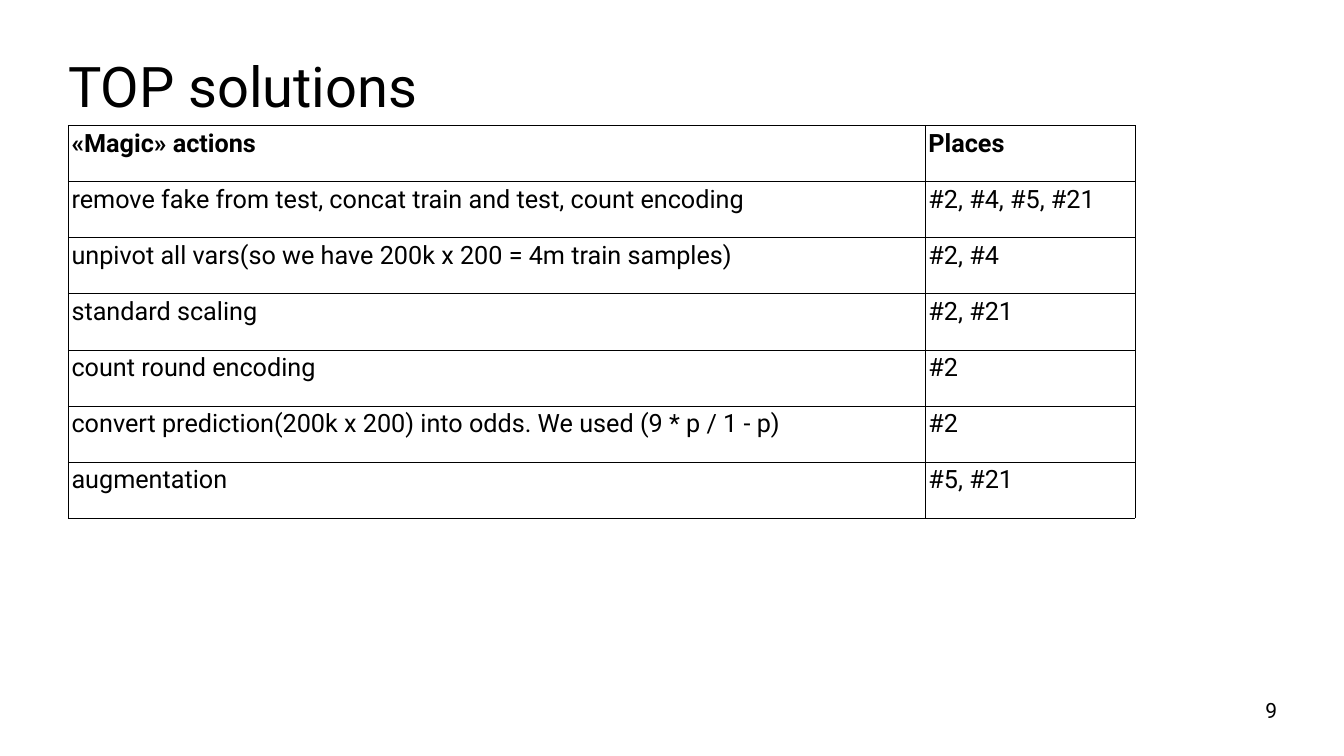
from pptx import Presentation
from pptx.dml.color import RGBColor
from pptx.enum.text import MSO_ANCHOR as Anchor, PP_ALIGN as Align
from pptx.oxml.ns import qn
from pptx.util import Pt
from lxml.etree import SubElement

COLORS = {"text": "000000", "border": "000000", "paper": "FFFFFF"}
FONT = "Roboto"
TITLE_ONLY = 5

ROWS = [
    ("«Magic» actions", "Places"),
    ("remove fake from test, concat train and test, count encoding", "#2, #4, #5, #21"),
    ("unpivot all vars(so we have 200k x 200 = 4m train samples)", "#2, #4"),
    ("standard scaling", "#2, #21"),
    ("count round encoding", "#2"),
    ("convert prediction(200k x 200) into odds. We used (9 * p / 1 - p)", "#2"),
    ("augmentation", "#5, #21"),
]
PLACES_SHARE = 0.197


def write(frame, text, size, align=Align.LEFT, bold=False):
    frame.text = text
    frame.word_wrap = True
    para = frame.paragraphs[0]
    para.alignment = align
    font = para.font
    font.name, font.size, font.bold = FONT, Pt(size), bold
    font.color.rgb = RGBColor.from_string(COLORS["text"])
    return para


def add_title(page, box, text):
    title = page.shapes.title
    title.left, title.top, title.width, title.height = map(Pt, box)
    para = write(title.text_frame, text, 80)
    para.line_spacing = Pt(100)
    title.text_frame.vertical_anchor = Anchor.MIDDLE


def add_page_number(page, box, number):
    label = page.shapes.add_textbox(*map(Pt, box))
    write(label.text_frame, str(number), 30, Align.RIGHT)
    label.text_frame.vertical_anchor = Anchor.MIDDLE


def style_cell(cell):
    """Give the cell a plain fill, tight margins and a thin line on each side."""
    cell.margin_left = cell.margin_right = cell.margin_top = cell.margin_bottom = Pt(5)
    properties = cell._tc.get_or_add_tcPr()
    for side in ("lnL", "lnR", "lnT", "lnB"):
        line = SubElement(properties, qn(f"a:{side}"), w=str(Pt(1)))
        paint = SubElement(line, qn("a:solidFill"))
        SubElement(paint, qn("a:srgbClr"), val=COLORS["border"])
    cell.fill.solid()
    cell.fill.fore_color.rgb = RGBColor.from_string(COLORS["paper"])


def add_solutions_table(page, box, rows):
    left, top, width, height = box
    table = page.shapes.add_table(len(rows), 2, *map(Pt, box)).table
    table.horz_banding = False
    places_width = width * PLACES_SHARE
    table.columns[0].width = Pt(width - places_width)
    table.columns[1].width = Pt(places_width)
    for index, texts in enumerate(rows):
        table.rows[index].height = Pt(height / len(rows))
        for cell, text in zip(table.rows[index].cells, texts):
            style_cell(cell)
            write(cell.text_frame, text, 36, bold=index == 0)


def main():
    deck = Presentation()
    deck.slide_width, deck.slide_height = Pt(1919.52), Pt(1080)
    page = deck.slides.add_slide(deck.slide_layouts[TITLE_ONLY])
    add_title(page, (90, 60.5, 1742.4, 118.8), "TOP solutions")
    add_solutions_table(page, (97.2, 179.3, 1524, 561), ROWS)
    add_page_number(page, (1741, 999.4, 90, 30.2), 9)
    deck.save("out.pptx")


if __name__ == "__main__":
    main()
